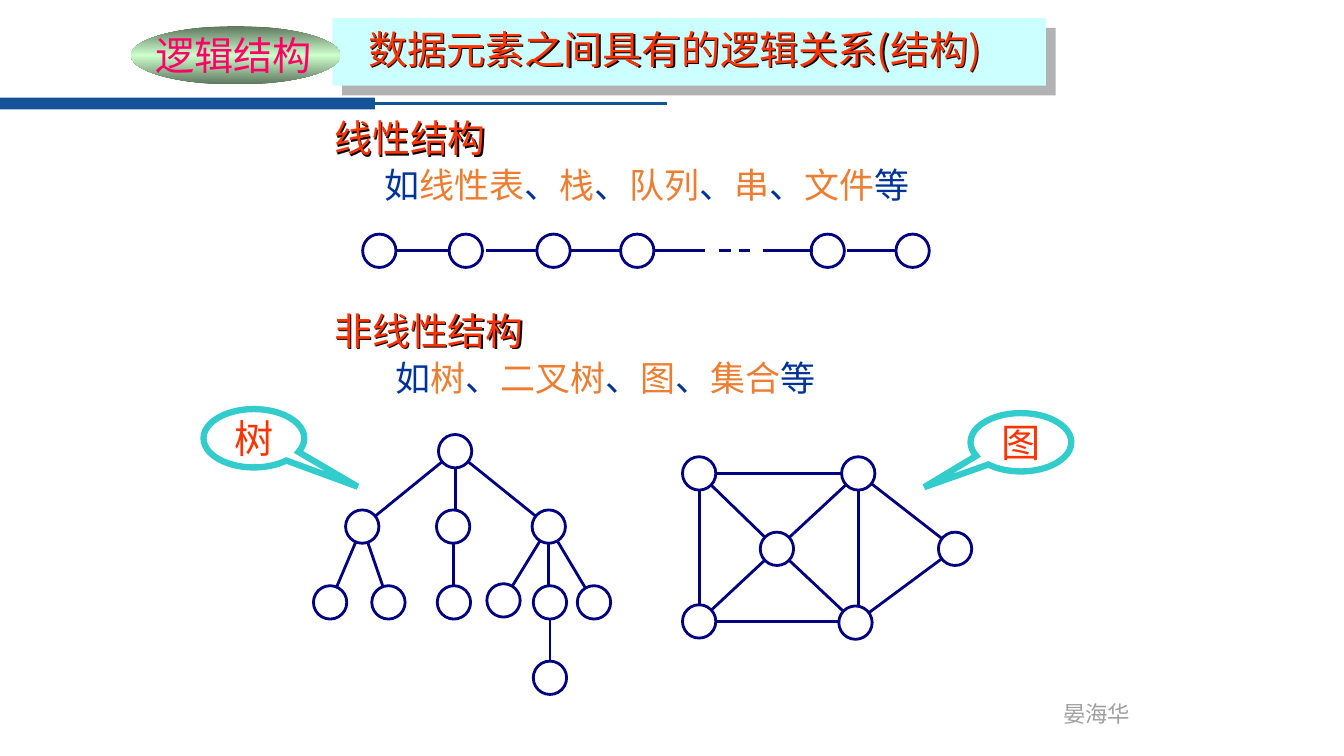
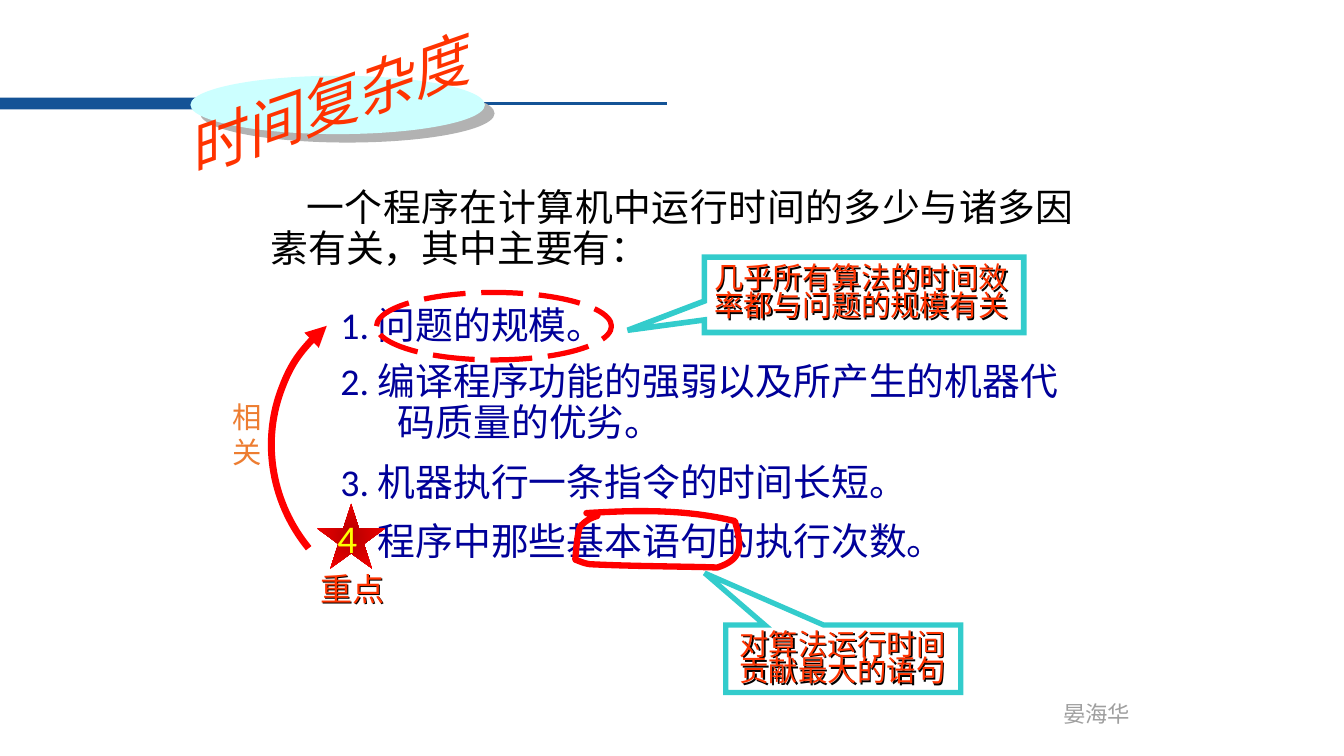
from itertools import cycle
from math import hypot

from lxml import etree
from pptx import Presentation
from pptx.dml.color import RGBColor
from pptx.enum.dml import MSO_LINE
from pptx.enum.shapes import MSO_CONNECTOR, MSO_SHAPE
from pptx.enum.text import MSO_ANCHOR, MSO_AUTO_SIZE, PP_ALIGN
from pptx.oxml.ns import qn
from pptx.util import Cm, Pt

OVAL, RECT, STAR = MSO_SHAPE.OVAL, MSO_SHAPE.RECTANGLE, MSO_SHAPE.STAR_5_POINT
ARC = MSO_SHAPE.ARC
OVAL_CALLOUT, RECT_CALLOUT = MSO_SHAPE.OVAL_CALLOUT, MSO_SHAPE.RECTANGULAR_CALLOUT
STRAIGHT = MSO_CONNECTOR.STRAIGHT
DASH, LONG_DASH = MSO_LINE.DASH, MSO_LINE.LONG_DASH
LEFT, CENTER, JUSTIFY = PP_ALIGN.LEFT, PP_ALIGN.CENTER, PP_ALIGN.JUSTIFY
TOP, MIDDLE, BOTTOM = MSO_ANCHOR.TOP, MSO_ANCHOR.MIDDLE, MSO_ANCHOR.BOTTOM
NO_AUTOFIT = MSO_AUTO_SIZE.NONE

BAND = RGBColor(0x14, 0x53, 0x96)
FOOTER = RGBColor(0x9F, 0x9F, 0x9F)
PALE = RGBColor(0xCC, 0xFF, 0xFF)
SHADE = RGBColor(0xB2, 0xB2, 0xB2)
VERMILION = RGBColor(0xFF, 0x33, 0x00)
PINK = RGBColor(0xFF, 0x00, 0x66)
NAVY = RGBColor(0x00, 0x00, 0x80)
BLUE = RGBColor(0x00, 0x33, 0x99)
INDIGO = RGBColor(0x00, 0x00, 0x99)
ORANGE = RGBColor(0xED, 0x7D, 0x31)
TEAL = RGBColor(0x33, 0xCC, 0xCC)
RED = RGBColor(0xFF, 0x00, 0x00)
DARK_RED = RGBColor(0xB6, 0x00, 0x00)
YELLOW = RGBColor(0xFF, 0xFF, 0x00)
SAGE = RGBColor(0x5E, 0x76, 0x5E)
MINT = RGBColor(0xCC, 0xFF, 0xCC)
BLACK = RGBColor(0x00, 0x00, 0x00)

HAN, LATIN = "Noto Sans CJK SC", "Calibri"
NODE = 0.84


def add_sub(parent, tag, **attributes):
    return etree.SubElement(parent, qn(tag), {k: str(v) for k, v in attributes.items()})


def cast_shadow(shape, color, distance, angle):
    shape.shadow.inherit = False
    effects = shape._element.spPr.find(qn("a:effectLst"))
    shadow = add_sub(effects, "a:outerShdw", dist=Pt(distance), dir=angle * 60000, algn="ctr")
    add_sub(shadow, "a:srgbClr", val=color)


def fill_gradient(shape, stops, around_centre=False):
    shape.fill.background()
    gradient = etree.Element(qn("a:gradFill"))
    stop_list = add_sub(gradient, "a:gsLst")
    for position, color in stops:
        add_sub(add_sub(stop_list, "a:gs", pos=position * 1000), "a:srgbClr", val=color)
    if around_centre:
        centre = add_sub(gradient, "a:path", path="circle")
        add_sub(centre, "a:fillToRect", l=50000, t=50000, r=50000, b=50000)
    else:
        add_sub(gradient, "a:lin", ang=5400000, scaled=1)
    properties = shape._element.spPr
    properties.replace(properties.find(qn("a:noFill")), gradient)


def style_run(run, size, color, font, italic=False):
    run.font.size, run.font.name = Pt(size), font
    run.font.bold, run.font.italic = False, italic
    run.font.color.rgb = color
    latin = run._r.get_or_add_rPr().find(qn("a:latin"))
    latin.addnext(etree.Element(qn("a:ea"), typeface=HAN))


def style_text(frame, size, color, font=HAN, align=LEFT, anchor=TOP, wrap=True,
               spacing=None, italic=False):
    frame.word_wrap, frame.auto_size = wrap, NO_AUTOFIT
    frame.vertical_anchor = anchor
    for paragraph in frame.paragraphs:
        paragraph.alignment = align
        if spacing:
            paragraph.line_spacing = spacing
        for run in paragraph.runs:
            style_run(run, size, color, font, italic)


def set_indent(frame, margin, first):
    properties = frame.paragraphs[0]._p.get_or_add_pPr()
    properties.set("marL", str(Cm(margin)))
    properties.set("indent", str(Cm(first)))


def place(shape, box):
    shape.left, shape.top, shape.width, shape.height = map(Cm, box)


def add_text(slide, box, text, size, color, shadow=False, **style):
    textbox = slide.shapes.add_textbox(*map(Cm, box))
    textbox.text_frame.text = text
    style_text(textbox.text_frame, size, color, **style)
    if shadow:
        cast_shadow(textbox, BLACK, 1.5, 45)
    return textbox.text_frame


def outline(shape, color, width, dash=None):
    shape.line.color.rgb, shape.line.width = color, Pt(width)
    if dash:
        shape.line.dash_style = dash


def add_plain(slide, kind, box, fill=None):
    shape = slide.shapes.add_shape(kind, *map(Cm, box))
    shape.shadow.inherit = False
    shape.line.fill.background()
    if fill is None:
        shape.fill.background()
    else:
        shape.fill.solid()
        shape.fill.fore_color.rgb = fill
    return shape


def add_label(shape, text, size, color):
    frame = shape.text_frame
    frame.text = text
    frame.margin_left = frame.margin_right = frame.margin_top = frame.margin_bottom = 0
    style_text(frame, size, color, font=LATIN, align=CENTER, anchor=MIDDLE, wrap=False)


def add_line(slide, start, end, color, width, dash=None):
    line = slide.shapes.add_connector(STRAIGHT, *map(Cm, (*start, *end)))
    outline(line, color, width, dash)
    add_sub(line._element.spPr, "a:effectLst")


def add_callout(slide, kind, box, tip, width):
    callout = add_plain(slide, kind, box)
    callout.adjustments[0], callout.adjustments[1] = tip
    outline(callout, TEAL, width)
    add_sub(callout.line._get_or_add_ln(), "a:miter", lim=800000)
    return callout


def add_loop(slide, origin, start, segments):
    points, last = [], start
    for c1, c2, end in segments:
        for step in range(1, 17):
            t = step / 16
            u = 1 - t
            points.append(tuple(
                u**3 * a + 3 * u * u * t * b + 3 * u * t * t * c + t**3 * d
                for a, b, c, d in zip(last, c1, c2, end)))
        last = end

    def at(point):
        return tuple(Cm(o + p) for o, p in zip(origin, point))

    builder = slide.shapes.build_freeform(*at(start))
    builder.add_line_segments([at(point) for point in points], close=True)
    loop = builder.convert_to_shape()
    loop.shadow.inherit = False
    loop.fill.background()
    outline(loop, RED, 4.5)


def add_node(slide, left, top):
    outline(add_plain(slide, OVAL, (left, top, NODE, NODE)), NAVY, 2)


def add_network(slide, origin, nodes, edges):
    left, top = origin
    for x, y in nodes.values():
        add_node(slide, left + x, top + y)
    radius = NODE / 2
    for first, second in edges.split():
        (x1, y1), (x2, y2) = nodes[first], nodes[second]
        x2 = x1 if abs(x2 - x1) < 0.1 else x2
        y2 = y1 if abs(y2 - y1) < 0.1 else y2
        length = hypot(x2 - x1, y2 - y1)
        dx, dy = (x2 - x1) * radius / length, (y2 - y1) * radius / length
        x, y = left + radius, top + radius
        add_line(slide, (x + x1 + dx, y + y1 + dy), (x + x2 - dx, y + y2 - dy), NAVY, 2)


def add_chain(slide, left, top):
    for x in (0, 2.18, 4.39, 6.5, 11.3, 13.44):
        add_node(slide, left + x, top)
    middle = top + NODE / 2
    for x in (0.87, 3.1, 5.24, 7.35, 10.08, 12.2):
        add_line(slide, (left + x, middle), (left + x + 1.27, middle), NAVY, 2)
    add_line(slide, (left + 8.99, middle), (left + 9.83, middle), NAVY, 2, DASH)


def add_name(slide, left, top, tip, name):
    callout = add_callout(slide, OVAL_CALLOUT, (left, top, 2.54, 1.47), tip, 4.5)
    add_label(callout, name, 28, VERMILION)


def add_tree(slide, left, top):
    nodes = {"R": (3.15, 0), "A": (0.81, 1.9), "B": (3.1, 1.9), "C": (5.51, 1.9),
             "D": (0, 3.81), "E": (1.47, 3.81), "F": (3.12, 3.81), "G": (4.37, 3.76),
             "H": (5.54, 3.81), "I": (6.65, 3.81), "J": (5.54, 5.71)}
    add_network(slide, (left, top), nodes, "RA RB RC AD AE BF CG CH CI HJ")
    add_name(slide, left - 2.77, top - 0.64, (1.03, 0.83), "树")


def add_graph(slide, left, top):
    nodes = {"A": (0, 0), "B": (0, 3.73), "C": (4.01, 0),
             "D": (6.45, 1.9), "E": (3.94, 3.76), "F": (1.96, 1.9)}
    add_network(slide, (left, top), nodes, "AC BE AB CE CD DE AF CF FE FB")
    add_name(slide, left + 7.26, top - 1.1, (-0.96, 0.77), "图")


def add_family(slide, left, top, heading, examples, indent):
    add_text(slide, (left, top, 6, 1.22), heading, 27, VERMILION, spacing=0.85, shadow=True)
    frame = add_text(slide, (left + indent, top + 1.05, 16, 1.32), "", 25, BLUE)
    for part, color in zip(examples, cycle((BLUE, ORANGE))):
        run = frame.paragraphs[0].add_run()
        run.text = part
        style_run(run, 25, color, HAN)


def add_factors(slide, left, top):
    factors = ((0, 8.1, "1. 问题的规模。"),
               (1.55, 19.23, "2. 编译程序功能的强弱以及所产生的机器代码质量的优劣。"),
               (3.96, 16.26, "3. 机器执行一条指令的时间长短。"),
               (5.46, 17.75, "4. 程序中那些基本语句的执行次数。"))
    for offset, width, factor in factors:
        frame = add_text(slide, (left, top + offset, width, 1.4), factor, 27, INDIGO,
                         font=LATIN, spacing=0.9 if offset == 1.55 else None)
        set_indent(frame, 1.45, -1.45)
    outline(add_plain(slide, OVAL, (left + 1.16, top - 0.1, 5.92, 1.7)), RED, 3.75, LONG_DASH)


def add_key_point(slide, left, top):
    star = add_plain(slide, STAR, (left, top, 1.7, 1.63))
    fill_gradient(star, ((0, DARK_RED), (100, RED)), around_centre=True)
    add_text(slide, (left + 0.25, top + 0.13, 1.07, 1.45), "4", 28, YELLOW,
             font=LATIN, wrap=False)
    add_text(slide, (left - 0.18, top + 1.52, 3.3, 1.22), "重点", 23, VERMILION, shadow=True)
    add_loop(slide, (left + 6.5, top + 0.13), (0.28, 0.1), (
        ((1.55, 0.02), (2.77, 0), (4.02, 0.3)),
        ((4.22, 0.96), (4.19, 1.27), (3.58, 1.47)),
        ((2.54, 1.44), (1.48, 1.44), (0.41, 1.39)),
        ((0.26, 1.39), (0, 1.27), (0, 1.27)),
        ((0, 1.24), (0.05, 0.53), (0.13, 0.43)),
        ((0.46, 0.07), (0.82, 0.23), (0.28, 0.1))))


def add_relation(slide, left, top):
    arc = add_plain(slide, ARC, (left, top, 8.08, 7.82))
    arc.rotation = 230.6
    outline(arc, RED, 5)
    add_sub(arc.line._get_or_add_ln(), "a:tailEnd", type="triangle")
    add_text(slide, (left - 1.15, top + 2.51, 1.24, 2.03), "相\n关", 21, ORANGE, wrap=False)


def add_remark(slide, box, tip, width, remark, inset, spacing):
    left, top, wide, high = box
    add_callout(slide, RECT_CALLOUT, box, tip, width)
    add_text(slide, (left + inset, top + 0.1, wide + 0.7, high - 0.2), remark, 21, VERMILION,
             spacing=spacing, shadow=True)


def start_slide(deck, title, box, size, **style):
    slide = deck.slides.add_slide(deck.slide_layouts[5])
    add_plain(slide, RECT, (0, 2.46, 9.45, 0.3), BAND)
    add_line(slide, (9.35, 2.6), (16.81, 2.6), BAND, 2.25)
    add_text(slide, (26.54, 17.53, 2.24, 0.94), "晏海华", 16, FOOTER, font=LATIN, wrap=False)
    heading = slide.shapes.title
    place(heading, box)
    heading.text_frame.text = title
    style_text(heading.text_frame, size, VERMILION, **style)
    return slide, heading


def add_backdrop(slide, heading, kind, box, distance, angle):
    cast_shadow(add_plain(slide, kind, box, PALE), SHADE, distance, angle)
    slide.shapes._spTree.append(heading._element)


def build_structures(deck):
    slide, heading = start_slide(deck, "数据元素之间具有的逻辑关系(结构)",
                                 (9.02, 0.51, 17.75, 1.45), 28)
    cast_shadow(heading, BLACK, 1.5, 45)
    add_backdrop(slide, heading, RECT, (8.38, 0.46, 17.98, 1.7), 9.9, 45)
    topic = add_plain(slide, OVAL, (3.3, 0.66, 5.28, 1.47))
    fill_gradient(topic, ((0, SAGE), (50, MINT), (100, SAGE)))
    add_text(slide, (3.66, 0.66, 6.32, 1.45), "逻辑结构", 28, PINK, font=LATIN)
    add_family(slide, 8.18, 2.95, "线性结构",
               ("如", "线性表", "、", "栈", "、", "队列", "、", "串", "、", "文件", "等"), 1.27)
    add_chain(slide, 9.14, 5.9)
    add_family(slide, 8.18, 7.8, "非线性结构",
               ("如", "树", "、", "二叉树", "、", "图", "、", "集合", "等"), 1.55)
    add_tree(slide, 7.9, 10.95)
    add_graph(slide, 17.2, 11.51)


def build_complexity(deck):
    slide, heading = start_slide(deck, "时间复杂度", (4.24, 1.52, 10.41, 1.7), 42,
                                 anchor=BOTTOM, italic=True)
    heading.rotation = 340.8
    add_backdrop(slide, heading, OVAL, (4.8, 1.91, 7.42, 1.47), 9.2, 41)
    intro = add_text(slide, (6.57, 4.64, 20.75, 2.31),
                     "一个程序在计算机中运行时间的多少与诸多因素有关，其中主要有：",
                     27, BLACK, align=JUSTIFY, spacing=0.9)
    set_indent(intro, 0, 0.9)
    add_factors(slide, 8.33, 7.47)
    add_remark(slide, (17.75, 6.48, 8.05, 1.9), (-0.74, 0.47), 4,
               "几乎所有算法的时间效\n率都与问题的规模有关", 0, 0.8)
    add_key_point(slide, 8, 12.7)
    add_remark(slide, (18.29, 15.75, 5.92, 1.7), (-0.59, -1.27), 3.75,
               "对算法运行时间\n贡献最大的语句", 0.1, 0.75)
    add_relation(slide, 6.76, 7.42)


def main():
    deck = Presentation()
    deck.slide_width, deck.slide_height = Cm(33.87), Cm(19.05)
    build_structures(deck)
    build_complexity(deck)
    deck.save("out.pptx")


if __name__ == "__main__":
    main()
